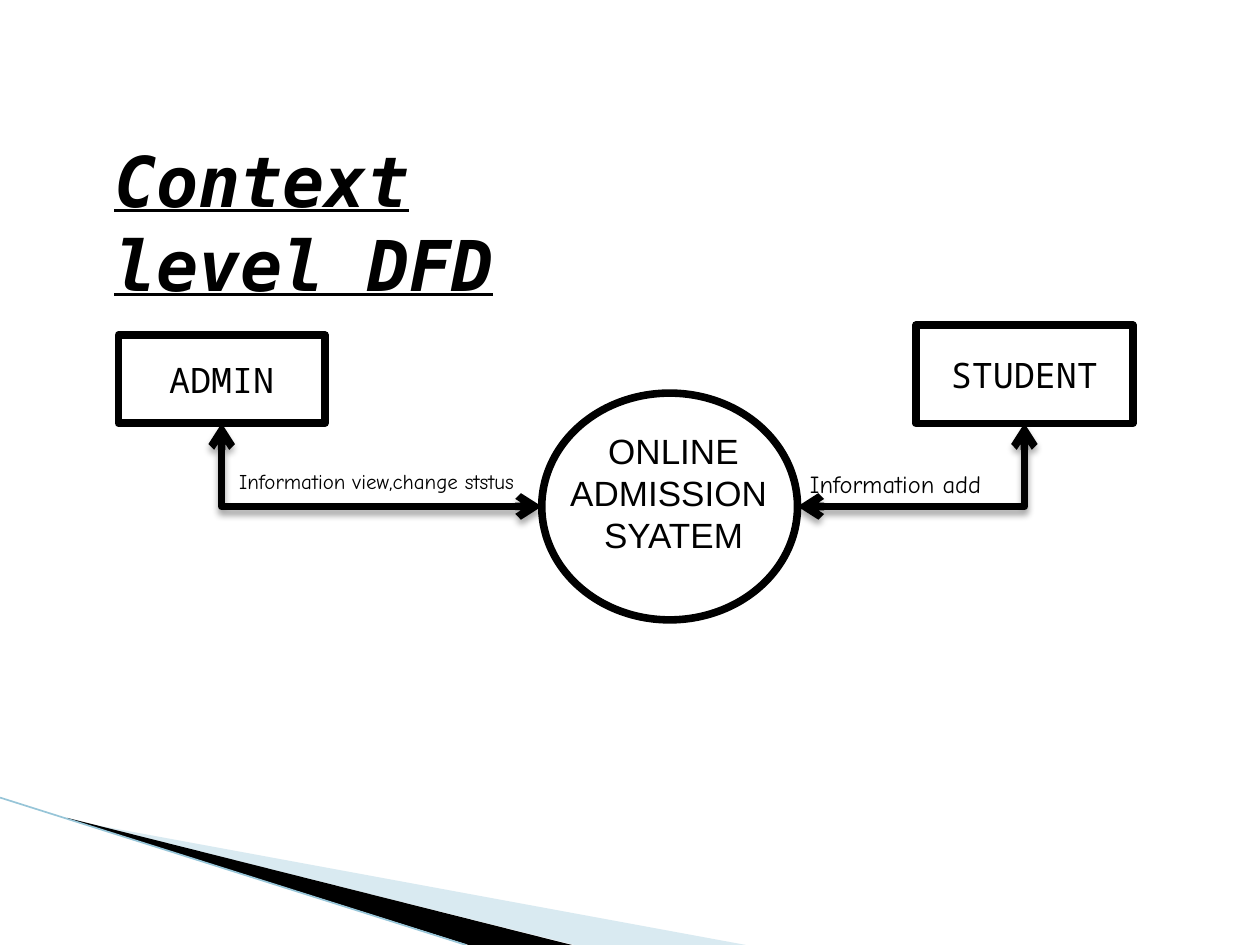
import lxml.etree
import pptx
import pptx.dml.color
import pptx.enum.shapes
import pptx.enum.text
import pptx.oxml.ns
import pptx.util

COLORS = {"ink": "000000", "paper": "FFFFFF", "mist": "A0CBDC", "edge": "97C5D8"}
SHAPES = pptx.enum.shapes.MSO_SHAPE
CONNECTORS = pptx.enum.shapes.MSO_CONNECTOR
COLUMNS, ROWS = 100, 75
STROKE = 4.33
MONO, SANS, HAND = "Noto Sans Mono", "Arial", "Comic Neue"


def rgb(name):
    return pptx.dml.color.RGBColor.from_string(COLORS[name])


def add_xml(parent, tag, **attributes):
    return lxml.etree.SubElement(parent, pptx.oxml.ns.qn(tag), attributes)


def write(frame, text, size=20, font=MONO, color="ink", centered=False,
          middle=False, emphasis=False):
    align = pptx.enum.text.PP_ALIGN
    anchor = pptx.enum.text.MSO_ANCHOR
    frame.word_wrap = True
    frame.vertical_anchor = anchor.MIDDLE if middle else anchor.TOP
    for index, line in enumerate(text.split("\n")):
        paragraph = frame.add_paragraph() if index else frame.paragraphs[0]
        paragraph.alignment = align.CENTER if centered else align.LEFT
        run = paragraph.add_run()
        run.text = line
        run.font.size = pptx.util.Pt(size)
        run.font.name = font
        run.font.color.rgb = rgb(color)
        run.font.bold = run.font.italic = run.font.underline = emphasis


class Diagram:
    def __init__(self, deck):
        self.slide = deck.slides.add_slide(deck.slide_layouts[6])
        self.shapes = self.slide.shapes
        self.column = deck.slide_width / COLUMNS
        self.row = deck.slide_height / ROWS

    def place(self, *cells):
        units = (self.column, self.row) * 2
        return [round(cell * unit) for cell, unit in zip(cells, units)]

    def ribbon(self, points, color, alpha=None):
        corners = [self.place(*point) for point in points]
        builder = self.shapes.build_freeform(*corners[0])
        builder.add_line_segments(corners[1:], close=True)
        band = builder.convert_to_shape()
        band.shadow.inherit = False
        band.fill.solid()
        band.fill.fore_color.rgb = rgb(color)
        band.line.fill.background()
        if alpha:
            tint = band.fill._xPr.find(".//" + pptx.oxml.ns.qn("a:srgbClr"))
            add_xml(tint, "a:alpha", val=str(alpha * 1000))

    def node(self, kind, cells, text=None):
        node = self.shapes.add_shape(kind, *self.place(*cells))
        node.shadow.inherit = False
        node.fill.solid()
        node.fill.fore_color.rgb = rgb("paper")
        self.stroke(node, "ink", STROKE)
        if text:
            write(node.text_frame, text, centered=True, middle=True)

    def label(self, cells, text, **style):
        write(self.shapes.add_textbox(*self.place(*cells)).text_frame, text, **style)

    def stroke(self, item, color, width):
        item.line.color.rgb = rgb(color)
        item.line.width = pptx.util.Pt(width)

    def rule(self, start, end, color, width):
        rule = self.shapes.add_connector(
            CONNECTORS.STRAIGHT, *self.place(*start), *self.place(*end))
        self.stroke(rule, color, width)
        add_xml(rule._element.spPr, "a:effectLst")

    def flow(self, start, end):
        x1, y1 = self.place(*start)
        x2, y2 = self.place(*end)
        drop, reach = abs(y2 - y1), abs(x2 - x1)
        left = (x1 + x2 - drop) // 2
        top = (y1 + y2 - reach) // 2
        flow = self.shapes.add_connector(
            CONNECTORS.ELBOW, left, top, left + drop, top + reach)
        properties = flow._element.spPr
        properties.find(pptx.oxml.ns.qn("a:prstGeom")).set("prst", "bentConnector2")
        transform = properties.find(pptx.oxml.ns.qn("a:xfrm"))
        rightward = x2 > x1
        transform.set("rot", str((270 if rightward else 90) * 60000))
        if rightward:
            transform.set("flipH", "1")
        self.stroke(flow, "ink", STROKE)
        outline = properties.find(pptx.oxml.ns.qn("a:ln"))
        for tip in ("a:headEnd", "a:tailEnd"):
            add_xml(outline, tip, type="arrow")
        effects = add_xml(properties, "a:effectLst")
        shadow = add_xml(effects, "a:outerShdw", blurRad=str(pptx.util.Pt(4)),
                         dist=str(pptx.util.Pt(3)), dir="5400000", rotWithShape="0")
        shade = add_xml(shadow, "a:srgbClr", val=COLORS["ink"])
        add_xml(shade, "a:alpha", val="35000")


def main():
    deck = pptx.Presentation()
    deck.slide_width = pptx.util.Inches(10)
    deck.slide_height = pptx.util.Inches(7.5)
    context = Diagram(deck)

    context.ribbon([(5.5, 65.1), (59.2, 75), (45.6, 75), (5.5, 65)], "mist", alpha=40)
    context.ribbon([(5.3, 64.9), (45.4, 75), (37.2, 75), (5.4, 65)], "ink")
    context.rule((0, 63.3), (37, 75), "edge", 0.95)

    context.label((8.1, 10.4, 40.2, 14), "Context level DFD",
                  size=40, font="DejaVu Sans Mono", emphasis=True)
    context.node(SHAPES.RECTANGLE, (9.4, 26.6, 16.4, 7), "ADMIN")
    context.node(SHAPES.FLOWCHART_CONNECTOR, (43, 31.2, 20.3, 18))
    context.node(SHAPES.FLOWCHART_PROCESS, (72.7, 25.8, 17.2, 7.8), "STUDENT")
    context.label((43.7, 33.6, 19.5, 11.1), "ONLINE\nADMISSION \nSYATEM",
                  font=SANS, centered=True)

    context.flow((17.6, 33.6), (43, 40.2))
    context.flow((81.3, 33.6), (63.3, 40.2))
    context.label((63.3, 36.7, 21.9, 3.4), "Information add", size=14, font=HAND)
    context.label((18, 36.7, 25, 3.1), "Information view,change ststus",
                  size=12, font=HAND)
    deck.save("out.pptx")


if __name__ == "__main__":
    main()
